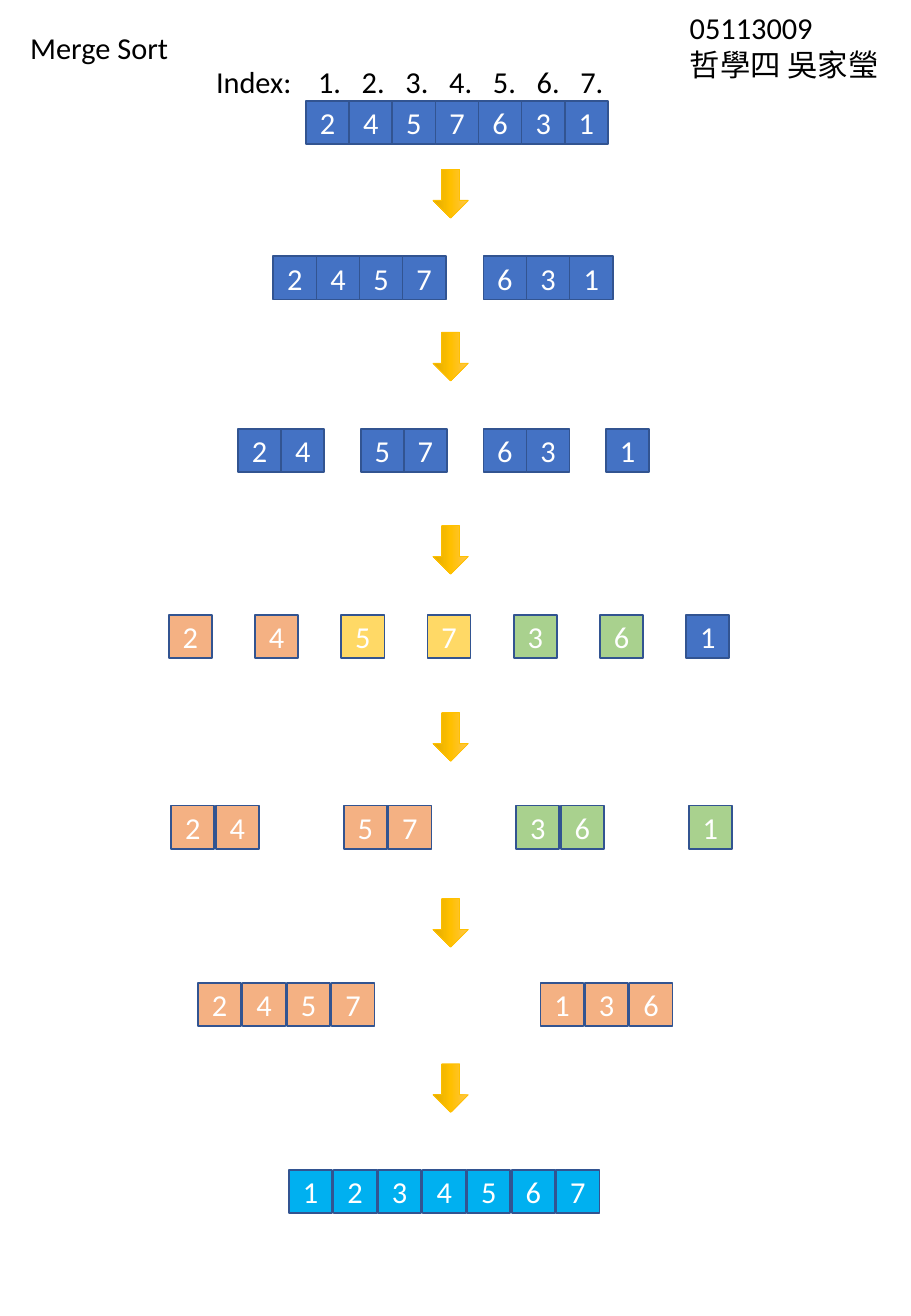
"""Build the merge sort diagram slide."""
from copy import deepcopy

from lxml import etree
from pptx import Presentation
from pptx import util as u
from pptx.dml import color
from pptx.enum import shapes, text
from pptx.oxml import ns

COLORS = {
    "blue": "4472C4", "orange": "F4B183", "yellow": "FFD966",
    "green": "A9D18E", "cyan": "00B0F0", "border": "325491",
    "arrow": "FFC000", "arrow_light": "FFC64B", "arrow_dark": "E3AB00",
    "black": "000000", "white": "FFFFFF",
}
CELL = 0.71 / 2
MERGED = 1.1 / 3


class Diagram:
    def __init__(self, slide, font="Calibri", size=18):
        self.s, self.font, self.size = slide, font, size

    def rgb(self, name):
        return color.RGBColor.from_string(COLORS[name])

    def style(self, tf, name, align=text.PP_ALIGN.LEFT):
        for p in tf.paragraphs:
            p.alignment = align
            p.font.name, p.font.size = self.font, u.Pt(self.size)
            p.font.color.rgb = self.rgb(name)

    def label(self, x, y, w, h, words, wrap=False):
        sp = self.s.shapes.add_textbox(*map(u.Inches, (x, y, w, h)))
        tf = sp.text_frame
        tf.text, tf.word_wrap = words, wrap
        tf.auto_size = text.MSO_AUTO_SIZE.SHAPE_TO_FIT_TEXT
        self.style(tf, "black")
        return tf.paragraphs[0]

    def index(self, x, y, w, h, count, pitch):
        words = "\t".join(f"{i}." for i in range(1, count + 1))
        p = self.label(x, y, w, h, words, wrap=True)
        tabs = etree.Element(ns.qn("a:tabLst"))
        for i in range(1, count):
            etree.SubElement(tabs, ns.qn("a:tab"), pos=str(u.Inches(i * pitch)), algn="l")
        p._p.get_or_add_pPr().insert(0, tabs)

    def cell(self, group, x, y, digit, fill):
        sp = group.shapes.add_shape(
            shapes.MSO_SHAPE.RECTANGLE, *map(u.Inches, (x, y, CELL, CELL)))
        sp.shadow.inherit = False
        sp.fill.solid()
        sp.fill.fore_color.rgb = self.rgb(fill)
        sp.line.color.rgb, sp.line.width = self.rgb("border"), u.Pt(1)
        tf = sp.text_frame
        tf.text, tf.vertical_anchor = digit, text.MSO_ANCHOR.MIDDLE
        self.style(tf, "white", text.PP_ALIGN.CENTER)

    def row(self, x, y, step, pitch, lists):
        group = self.s.shapes.add_group_shape()
        for i, (digits, fill) in enumerate(lists):
            for j, digit in enumerate(digits):
                self.cell(group, x + i * step + j * pitch, y, digit, fill)

    def arrow(self, y):
        sp = self.s.shapes.add_shape(
            shapes.MSO_SHAPE.RIGHT_ARROW, *map(u.Inches, (3.51, y, 0.4, 0.29)))
        sp.rotation, sp.shadow.inherit = 90, False
        sp.line.color.rgb, sp.line.width = self.rgb("arrow"), u.Pt(0.5)
        sp.fill.gradient()
        sp.fill.gradient_angle = 270
        stops = sp._element.spPr.find(".//" + ns.qn("a:gsLst"))
        stops.insert(1, deepcopy(stops[0]))
        names = "arrow_light", "arrow", "arrow_dark"
        for i, (stop, name) in enumerate(zip(sp.fill.gradient_stops, names)):
            stop.position, stop.color.rgb = i / 2, self.rgb(name)


ROWS = [
    (2.52, 0.83, 0, CELL, [("2457631", "blue")]),
    (2.25, 2.11, 1.73, CELL, [("2457", "blue"), ("631", "blue")]),
    (1.96, 3.53, 1.01, CELL, [(d, "blue") for d in ("24", "57", "63", "1")]),
    (1.39, 5.06, 0.71, CELL, [
        ("2", "orange"), ("4", "orange"), ("5", "yellow"), ("7", "yellow"),
        ("3", "green"), ("6", "green"), ("1", "blue")]),
    (1.41, 6.63, 1.42, MERGED, [
        ("24", "orange"), ("57", "orange"), ("36", "green"), ("1", "green")]),
    (1.63, 8.09, 2.82, MERGED, [("2457", "orange"), ("136", "orange")]),
    (2.38, 9.63, 0, MERGED, [("1234567", "cyan")]),
]

prs = Presentation()
prs.slide_width, prs.slide_height = u.Inches(7.5), u.Inches(10.83)
diagram = Diagram(prs.slides.add_slide(prs.slide_layouts[6]))

diagram.label(0.15, 0.19, 1.35, 0.4, "Merge Sort")
diagram.label(5.58, 0.03, 1.77, 0.71, "05113009\n哲學四 吳家瑩")
diagram.label(1.68, 0.47, 0.88, 0.4, "Index:", wrap=True)
diagram.index(2.52, 0.47, 2.66, 0.4, 7, 0.36)
for row in ROWS:
    diagram.row(*row)
for y in (1.45, 2.79, 4.38, 5.92, 7.45, 8.81):
    diagram.arrow(y)

prs.save("out.pptx")
